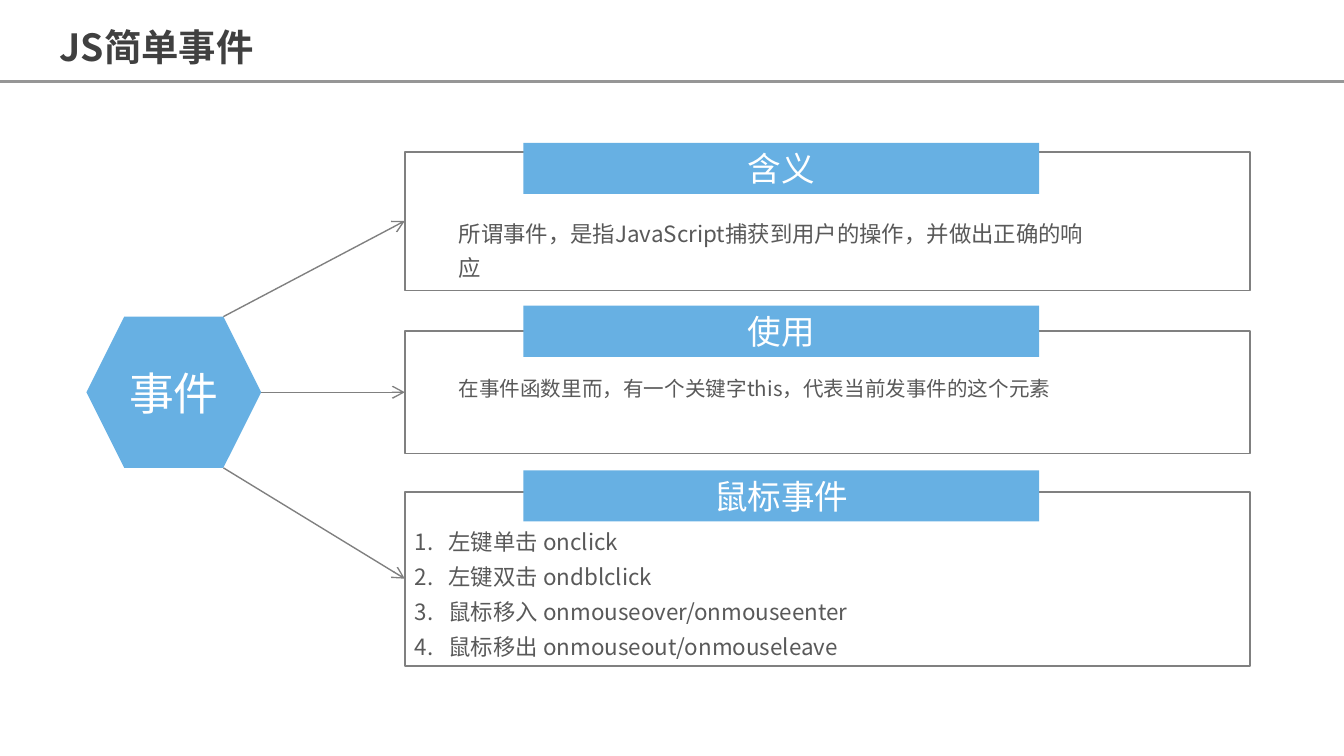
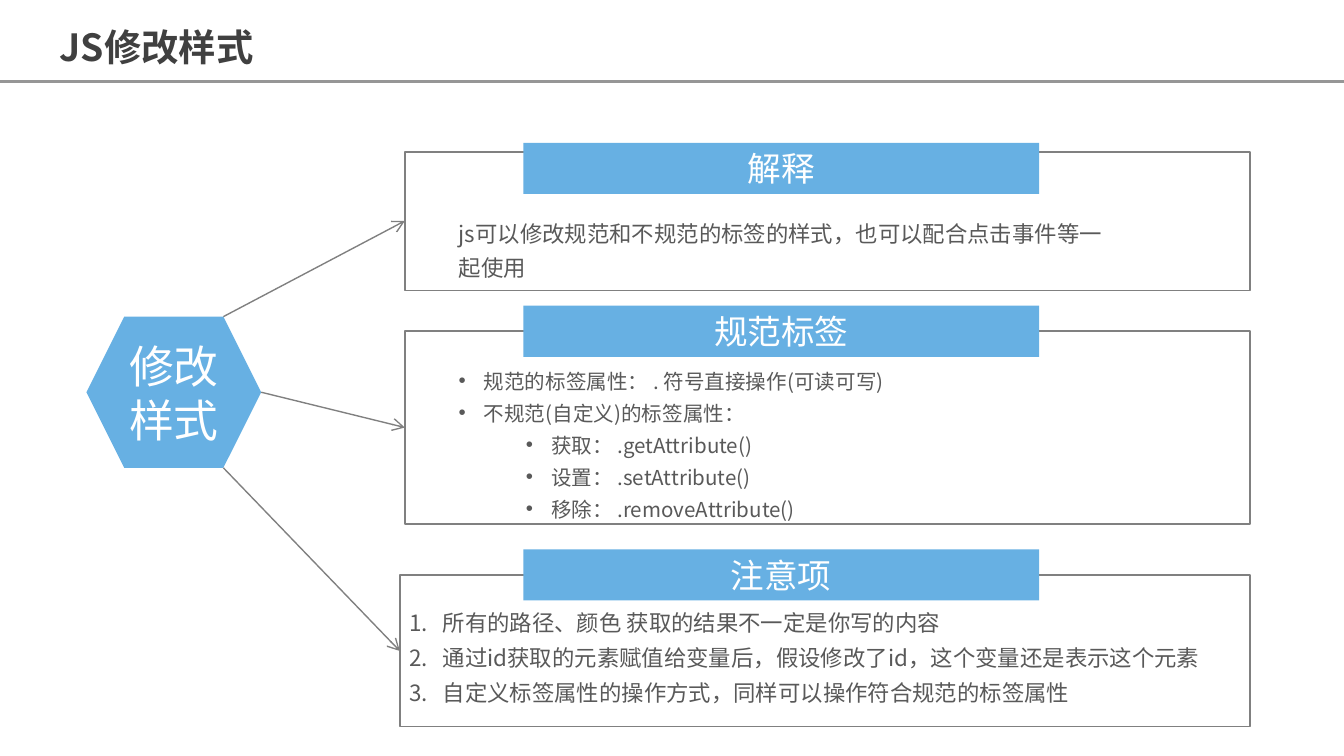
from pptx import Presentation
from pptx import util as u
from pptx.dml import color
from pptx.enum import shapes, text
from pptx.oxml import ns
from lxml import etree

PX = 5715
WIDE, HIGH = 1600, 900
FONT = "Noto Sans CJK SC"
BLUE, GREY, RULE = "67B0E3", "808080", "969696"
WHITE, INK, DARK = "FFFFFF", "595959", "404040"
HEX = (103, 377, 208, 180)
HEAD_X, HEAD_W, HEAD_H = 623, 614, 61
RULE_Y = 97
STEP = 80
PAD = (12, 6, 12, 6)

MARKS = {
    "dot": ("buChar", {"char": "•"}),
    "num": ("buAutoNum", {"type": "arabicPeriod"}),
}

SLIDES = [
    {
        "title": "JS简单事件",
        "topic": "事件",
        "panels": [
            {"head": "含义", "top": 170, "frame": (482, 181, 1006, 165),
             "body": (534, 246, 794, 50), "size": 12, "mark": None, "dent": 0,
             "lines": [(0, "所谓事件，是指JavaScript捕获到用户的操作，并做出正确的响应")]},
            {"head": "使用", "top": 364, "frame": (482, 394, 1006, 146),
             "body": (534, 433, 842, 51), "size": 11, "mark": None, "dent": 0,
             "lines": [(0, "在事件函数里而，有一个关键字this，代表当前发事件的这个元素")]},
            {"head": "鼠标事件", "top": 560, "frame": (482, 586, 1006, 207),
             "body": (482, 613, 1006, 179), "size": 12, "mark": "num", "dent": 40,
             "lines": [
                 (0, "左键单击 onclick"),
                 (0, "左键双击 ondblclick"),
                 (0, "鼠标移入 onmouseover/onmouseenter"),
                 (0, "鼠标移出 onmouseout/onmouseleave")]},
        ],
    },
    {
        "title": "JS修改样式",
        "topic": "修改样式",
        "panels": [
            {"head": "解释", "top": 170, "frame": (482, 181, 1006, 165),
             "body": (534, 246, 794, 93), "size": 12, "mark": None, "dent": 0,
             "lines": [(0, "js可以修改规范和不规范的标签的样式，也可以配合点击事件等一起使用")]},
            {"head": "规范标签", "top": 364, "frame": (482, 394, 1006, 230),
             "body": (534, 424, 842, 240), "size": 11, "mark": "dot", "dent": 30,
             "lines": [
                 (0, "规范的标签属性： . 符号直接操作(可读可写)"),
                 (0, "不规范(自定义)的标签属性："),
                 (1, "获取： .getAttribute()"),
                 (1, "设置： .setAttribute()"),
                 (1, "移除： .removeAttribute()")]},
            {"head": "注意项", "top": 654, "frame": (476, 685, 1012, 180),
             "body": (475, 710, 1006, 134), "size": 12, "mark": "num", "dent": 40,
             "lines": [
                 (0, "所有的路径、颜色 获取的结果不一定是你写的内容"),
                 (0, "通过id获取的元素赋值给变量后，假设修改了id，这个变量还是表示这个元素"),
                 (0, "自定义标签属性的操作方式，同样可以操作符合规范的标签属性")]},
        ],
    },
]


def px(*nums):
    return [u.Emu(n * PX) for n in nums]


def rgb(code):
    return color.RGBColor.from_string(code)


def sub(node, tag, **attrs):
    return etree.SubElement(node, ns.qn("a:" + tag), attrs)


def write(para, words, size, tint, bold=False):
    run = para.add_run()
    run.text = words
    font = run.font
    font.name, font.size, font.bold = FONT, u.Pt(size), bold
    font.color.rgb = rgb(tint)
    sub(font._element, "ea", typeface=FONT)


def inset(frame, pad):
    (frame.margin_left, frame.margin_top,
     frame.margin_right, frame.margin_bottom) = px(*pad)


def block(slide, kind, place, fill=None, line=None, label="", size=18):
    shape = slide.shapes.add_shape(kind, *px(*place))
    shape.shadow.inherit = False
    if fill:
        shape.fill.solid()
        shape.fill.fore_color.rgb = rgb(fill)
    else:
        shape.fill.background()
    if line:
        shape.line.color.rgb = rgb(line)
        shape.line.width = u.Pt(1)
    else:
        shape.line.fill.background()
    if label:
        frame = shape.text_frame
        inset(frame, PAD)
        frame.word_wrap = True
        frame.vertical_anchor = text.MSO_ANCHOR.MIDDLE
        para = frame.paragraphs[0]
        para.alignment = text.PP_ALIGN.CENTER
        write(para, label, size, WHITE)


def stroke(slide, start, end, tint, width, arrow=False):
    line = slide.shapes.add_connector(
        shapes.MSO_CONNECTOR.STRAIGHT, *px(*start, *end))
    line.line.color.rgb = rgb(tint)
    line.line.width = u.Pt(width)
    if arrow:
        sub(line.line._get_or_add_ln(), "tailEnd", type="arrow")
    sub(line._element.spPr, "effectLst")


def note(slide, place, lines, size, tint, gap, pad=PAD, mark=None, dent=0, bold=False):
    frame = slide.shapes.add_textbox(*px(*place)).text_frame
    frame.word_wrap = True
    frame.auto_size = text.MSO_AUTO_SIZE.SHAPE_TO_FIT_TEXT
    inset(frame, pad)
    for i, (level, words) in enumerate(lines):
        para = frame.add_paragraph() if i else frame.paragraphs[0]
        para.level = level
        para.line_spacing = gap
        if mark:
            props = para._p.get_or_add_pPr()
            props.set("marL", str((dent + STEP * level) * PX))
            props.set("indent", str(-dent * PX))
            sub(props, "buFont", typeface="Arial" if mark == "dot" else "+mj-lt")
            tag, attrs = MARKS[mark]
            sub(props, tag, **attrs)
        write(para, words, size, tint, bold)


def panel(slide, part, start):
    x, y, w, h = part["frame"]
    block(slide, shapes.MSO_SHAPE.RECTANGLE, part["frame"], line=GREY)
    block(slide, shapes.MSO_SHAPE.RECTANGLE,
          (HEAD_X, part["top"], HEAD_W, HEAD_H), fill=BLUE, label=part["head"])
    note(slide, part["body"], part["lines"], part["size"], INK, 1.3,
         mark=part["mark"], dent=part["dent"])
    stroke(slide, start, (x, y + h // 2), GREY, 0.75, arrow=True)


def build(deck, data):
    slide = deck.slides.add_slide(deck.slide_layouts[6])
    stroke(slide, (0, RULE_Y), (WIDE, RULE_Y), RULE, 1.75)
    note(slide, (55, 10, 469, 75), [(0, data["title"])], 20, DARK, 1.2,
         pad=(16, 8, 16, 8), bold=True)
    x, y, w, h = HEX
    block(slide, shapes.MSO_SHAPE.HEXAGON, HEX, fill=BLUE, label=data["topic"], size=24)
    edge = x + w - h // 4
    starts = [(edge, y), (x + w, y + h // 2), (edge, y + h)]
    for part, start in zip(data["panels"], starts):
        panel(slide, part, start)


def main():
    deck = Presentation()
    deck.slide_width, deck.slide_height = px(WIDE, HIGH)
    for data in SLIDES:
        build(deck, data)
    deck.save("out.pptx")


if __name__ == "__main__":
    main()
